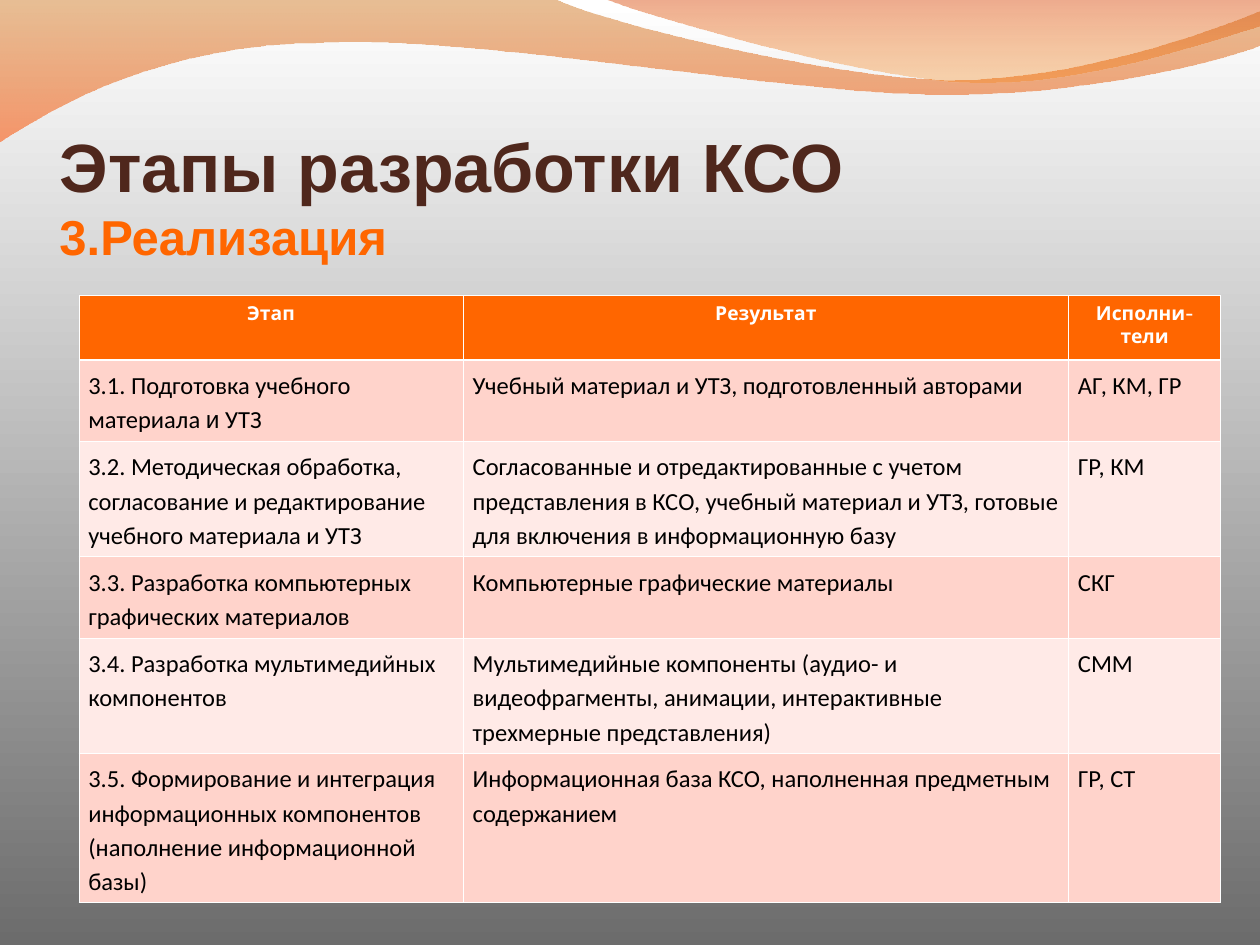
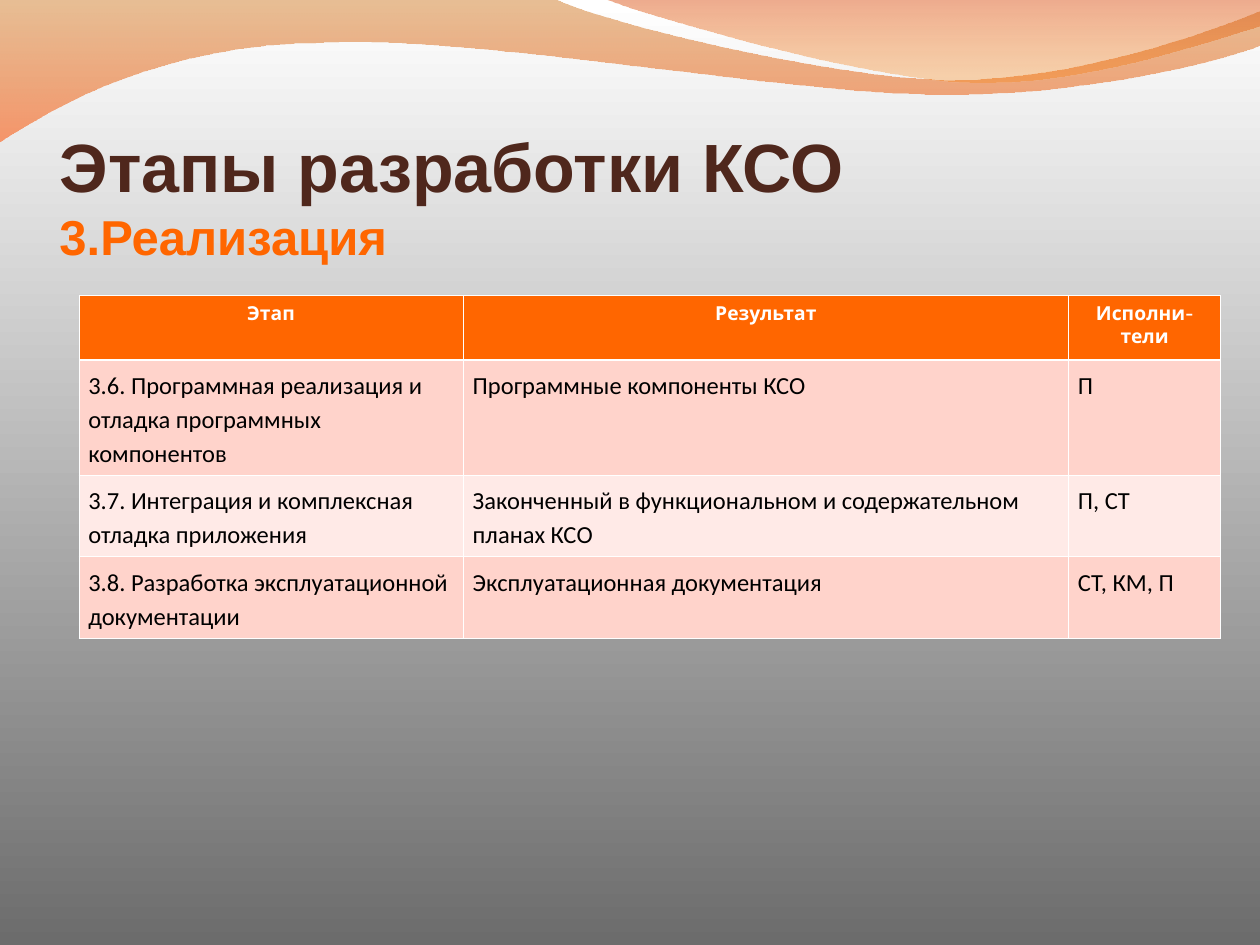
import pptx
import pptx.dml.color
import pptx.enum.text
import pptx.oxml
import pptx.oxml.ns
import pptx.util

Cm = pptx.util.Cm
Pt = pptx.util.Pt

ORANGE, BROWN, WHITE, BLACK = "FF6600", "4F271C", "FFFFFF", "000000"
BANDS = "FFD3CB", "FFEAE7"
THIN, THICK = 0.45, 1.47
COLS = 7.75, 12.2, 3.07
HEADS = "Этап", "Результат", "Исполни-тели"
HEAD_H = 1.3

WAVES = [
    ((-0.03, -0.03), (("CB6F13", 45), ("FF4F00", 55)), [
        [(0.03, 0)],
        [(11.2, 0)],
        [(12.12, 0.46), (16.89, 1.63), (19.28, 1.63)],
        [(21.69, 1.63), (24.36, 0.69), (25.43, 0.25)],
        [(25.45, 0.94)],
        [(24.99, 1.14), (22.12, 1.96), (18.97, 1.93)],
        [(15.82, 1.93), (9.73, 0.74), (6.55, 0.89)],
        [(3.3, 0.91), (1.19, 2.13), (0, 2.9)],
    ]),
    ((12.17, -0.03), (("D84300", 45), ("FF8607", 30)), [
        [(0, 0)],
        [(0.76, 0.3), (5.16, 1.6), (7.37, 1.68)],
        [(9.58, 1.78), (12.24, 0.84), (13.23, 0.56)],
        [(13.23, 0.03)],
    ]),
]

PAGES = [
    [
        (1.63, "3.1. Подготовка учебного материала |и| УТЗ",
         "Учебный материал и УТЗ, подготовленный авторами", "АГ, КМ, ГР"),
        (2.06, "3.2. Методическая обработка, согласование и редактирование "
         "учебного материала и УТЗ",
         "Согласованные и отредактированные с учетом представления в КСО, "
         "учебный материал и УТЗ, готовые для включения в информационную базу",
         "ГР, КМ"),
        (1.63, "3.3. Разработка компьютерных графических материалов",
         "Компьютерные графические материалы", "СКГ"),
        (2.06, "3.4. Разработка мультимедийных компонентов",
         "Мультимедийные компоненты (аудио- и видеофрагменты, анимации, "
         "интерактивные трехмерные представления)", "СММ"),
        (2.72, "3.5. Формирование и интеграция информационных компонентов "
         "(наполнение информационной базы)",
         "Информационная база КСО, наполненная предметным содержанием",
         "ГР, СТ"),
    ],
    [
        (2.06, "3.6. Программная реализация и отладка программных компонентов",
         "Программные компоненты КСО", "П"),
        (1.63, "3.7. Интеграция и комплексная отладка приложения",
         "Законченный в функциональном и содержательном планах КСО", "П, СТ"),
        (1.63, "3.8. Разработка эксплуатационной документации",
         "Эксплуатационная документация", "СТ, КМ, П"),
    ],
]


def tint(code):
    """Turn a hex string into a colour."""
    return pptx.dml.color.RGBColor.from_string(code)


def style(run, face, size, code, bold):
    """Set the font of a run."""
    font = run.font
    font.name, font.size, font.bold = face, Pt(size), bold
    font.color.rgb = tint(code)


def blend(fill, codes):
    """Fill with two colours from top to bottom."""
    fill.gradient()
    fill.gradient_angle = 270
    for stop, code in zip(fill.gradient_stops, codes):
        stop.color.rgb = tint(code)


def bend(shape, parts):
    """Join each three lines that stand for a curve into one Bezier."""
    qn = pptx.oxml.ns.qn
    lines = iter(list(shape._element.spPr.iter(qn("a:lnTo"))))
    for part in parts:
        group = [next(lines) for _ in part]
        if len(group) == 3:
            curve = pptx.oxml.parse_xml(
                f'<a:cubicBezTo {pptx.oxml.ns.nsdecls("a")}/>')
            group[0].addprevious(curve)
            for line in group:
                curve.append(line[0])
                line.getparent().remove(line)


def draw_wave(slide, spot, stops, parts):
    """Draw a translucent wave with its corner at the given spot."""
    first, *rest = [(x * 100, y * 100) for part in parts for x, y in part]
    pen = slide.shapes.build_freeform(*first, scale=Cm(0.01))
    pen.add_line_segments(rest, close=True)
    wave = pen.convert_to_shape(Cm(spot[0]), Cm(spot[1]))
    bend(wave, parts[1:])
    wave.shadow.inherit = False
    wave.line.fill.background()
    blend(wave.fill, [code for code, _ in stops])
    nodes = wave._element.spPr.iter(pptx.oxml.ns.qn("a:srgbClr"))
    for node, (_, part) in zip(list(nodes), stops):
        node.append(pptx.oxml.parse_xml(
            f'<a:alpha {pptx.oxml.ns.nsdecls("a")} val="{part * 1000}"/>'))


def draw_title(slide, left, top, width, height):
    """Write the title and the stage name below it."""
    box = slide.shapes.add_textbox(Cm(left), Cm(top), Cm(width), Cm(height))
    frame = box.text_frame
    frame.word_wrap = True
    frame.vertical_anchor = pptx.enum.text.MSO_ANCHOR.BOTTOM
    frame.margin_left = frame.margin_right = frame.margin_bottom = 0
    line = frame.paragraphs[0]
    line.text = "Этапы разработки КСО\v3.Реализация"
    for run, size, code in zip(line.runs, (39, 28), (BROWN, ORANGE)):
        style(run, "Arial", size, code, True)


def edge(cell, row):
    """Draw the white borders of a cell, thick below the head row."""
    props = cell._tc.get_or_add_tcPr()
    for side in "LRTB":
        thick = (row, side) in ((0, "B"), (1, "T"))
        width = Pt(THICK if thick else THIN)
        props.append(pptx.oxml.parse_xml(
            f'<a:ln{side} {pptx.oxml.ns.nsdecls("a")} w="{width}"><a:solidFill>'
            f'<a:srgbClr val="{WHITE}"/></a:solidFill></a:ln{side}>'))


def fill_cell(cell, row, text):
    """Write and colour one cell; bars in the text enclose Arial words."""
    edge(cell, row)
    cell.fill.solid()
    cell.fill.fore_color.rgb = tint(BANDS[(row - 1) % 2] if row else ORANGE)
    first, *rest = text.split("|")
    cell.text_frame.text = first
    line = cell.text_frame.paragraphs[0]
    for piece in rest:
        line.add_run().text = piece
    if row:
        cell.margin_left, cell.margin_right = Cm(0.19), Cm(0.18)
        cell.margin_top = cell.margin_bottom = Cm(0.14)
        line.line_spacing = 1.15
        for index, run in enumerate(line.runs):
            style(run, "Arial" if index % 2 else "Calibri", 14, BLACK, False)
    else:
        line.alignment = pptx.enum.text.PP_ALIGN.CENTER
        style(line.runs[0], "Cabin", 11, WHITE, True)


def draw_table(slide, left, top, body):
    """Draw the table of steps, results and people."""
    rows = [(HEAD_H, *HEADS), *body]
    height = sum(row[0] for row in rows)
    table = slide.shapes.add_table(len(rows), len(COLS), Cm(left), Cm(top),
                                   Cm(sum(COLS)), Cm(height)).table
    table.horz_banding = False
    for column, width in zip(table.columns, COLS):
        column.width = Cm(width)
    for row, (tall, *texts) in enumerate(rows):
        table.rows[row].height = Cm(tall)
        for col, text in enumerate(texts):
            fill_cell(table.cell(row, col), row, text)


def add_page(deck, body):
    """Add a slide with waves, title and table."""
    slide = deck.slides.add_slide(deck.slide_layouts[6])
    blend(slide.background.fill, (WHITE, "6C6C6C"))
    for wave in WAVES:
        draw_wave(slide, *wave)
    draw_title(slide, 1.2, 2.17, 23.22, 3.18)
    draw_table(slide, 1.59, 5.95, body)


def main():
    """Build and save the deck."""
    deck = pptx.Presentation()
    deck.slide_width, deck.slide_height = Cm(25.4), Cm(19.05)
    for body in PAGES:
        add_page(deck, body)
    deck.save("out.pptx")


if __name__ == "__main__":
    main()
